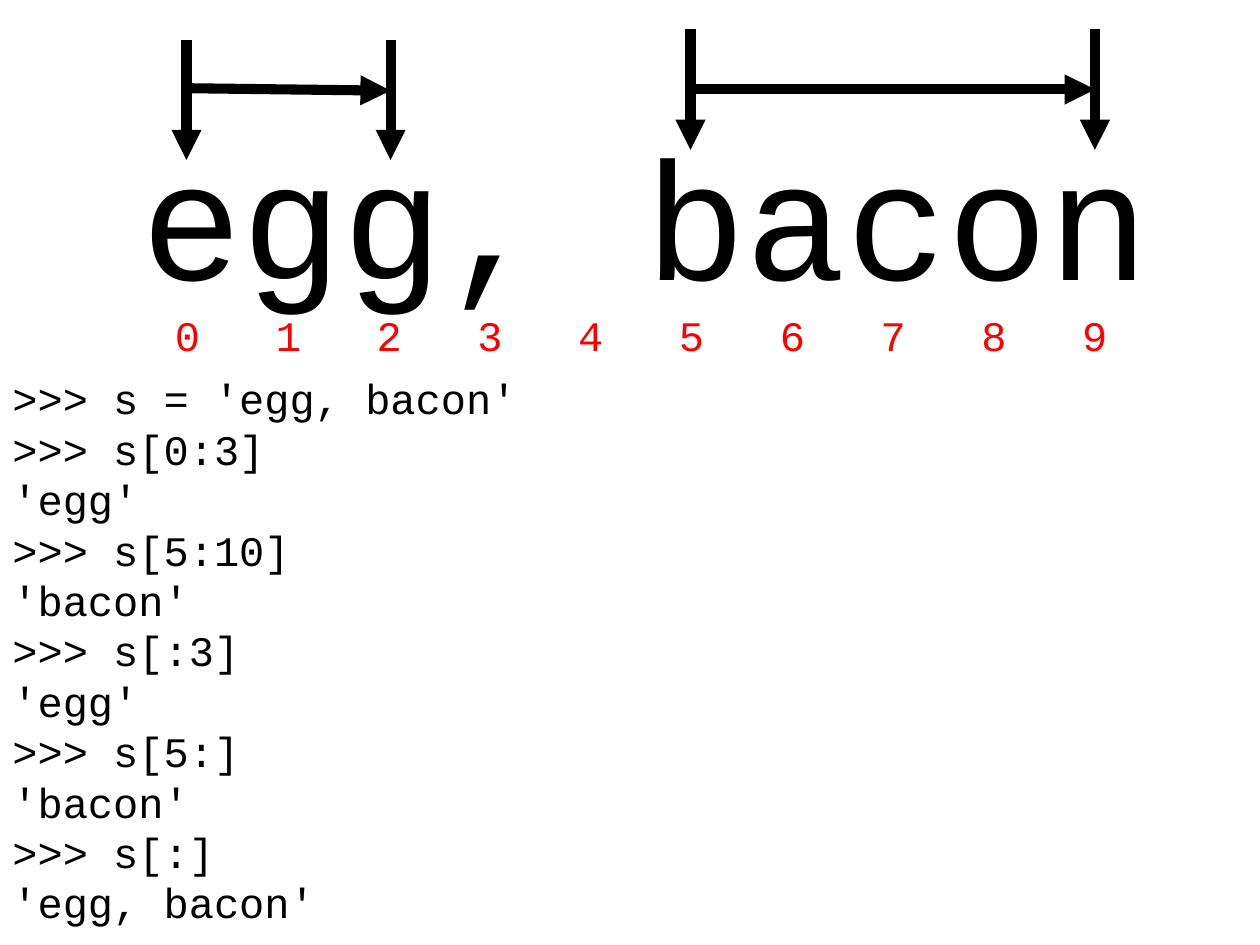
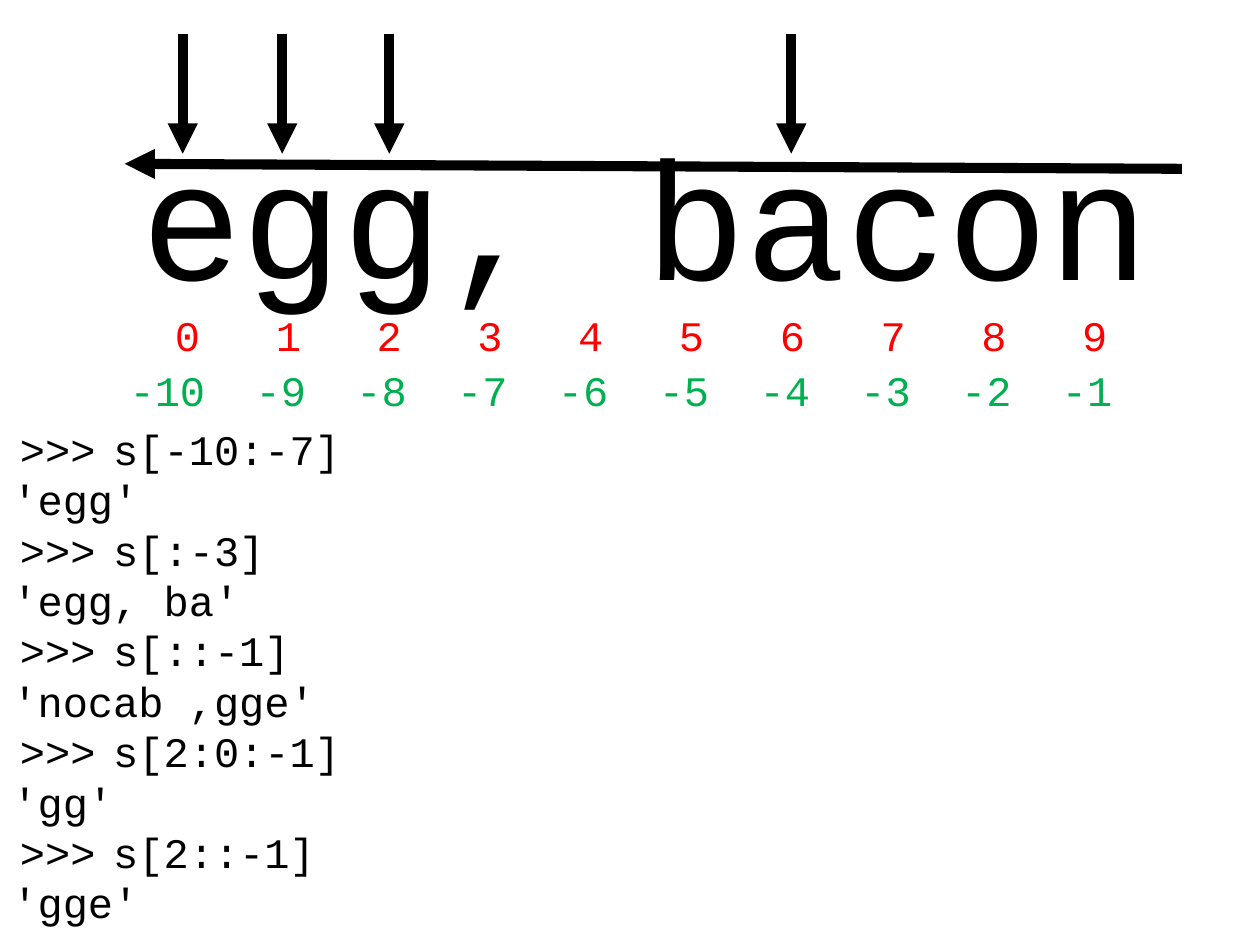
import pptx
import pptx.dml.color
import pptx.enum.shapes
import pptx.enum.text
import pptx.oxml.ns
import pptx.util
from dataclasses import dataclass
from lxml import etree

Inches = pptx.util.Inches
qn = pptx.oxml.ns.qn


@dataclass(frozen=True)
class Theme:
    font: str = "Courier New"
    ink: str = "000000"
    positive: str = "FF0000"
    negative: str = "00B050"
    word_size: int = 96
    code_size: int = 24
    arrow_width: float = 5.75


THEME = Theme()
WORD = "egg, bacon"
LETTER_PITCH = 0.8
LINE_HEIGHT = 0.4
BOX_PADDING = 0.1
PROMPT = ">>>"
CODE_INDENT = "    "  # columns covered by the prompt


# Text and line helpers
def add_run(paragraph, text, size, color):
    run = paragraph.add_run()
    run.text = text
    run.font.name = THEME.font
    run.font.size = pptx.util.Pt(size)
    run.font.color.rgb = pptx.dml.color.RGBColor.from_string(color)


def add_lines(slide, box, lines, color=THEME.ink):
    frame = slide.shapes.add_textbox(*map(Inches, box)).text_frame
    frame.word_wrap = True
    for number, line in enumerate(lines):
        paragraph = frame.add_paragraph() if number else frame.paragraphs[0]
        add_run(paragraph, line, THEME.code_size, color)
    return frame


def add_arrow(slide, start, end):
    arrow = slide.shapes.add_connector(
        pptx.enum.shapes.MSO_CONNECTOR.STRAIGHT, *map(Inches, (*start, *end)))
    arrow.line.color.rgb = pptx.dml.color.RGBColor.from_string(THEME.ink)
    arrow.line.width = pptx.util.Pt(THEME.arrow_width)
    etree.SubElement(arrow.line._get_or_add_ln(), qn("a:tailEnd"), type="triangle")
    etree.SubElement(arrow._element.spPr, qn("a:effectLst"))


# Regions
def add_word(slide, left, top, width, height):
    title = slide.shapes.title
    title.left, title.top, title.width, title.height = map(
        Inches, (left, top, width, height))
    frame = title.text_frame
    frame.word_wrap = True
    frame.auto_size = pptx.enum.text.MSO_AUTO_SIZE.NONE
    frame.vertical_anchor = pptx.enum.text.MSO_ANCHOR.TOP
    frame.paragraphs[0].alignment = pptx.enum.text.PP_ALIGN.LEFT
    add_run(frame.paragraphs[0], WORD, THEME.word_size, THEME.ink)


def add_indices(slide, box, indices, first_edge, color):
    """One index under each letter, right-aligned on evenly spaced tabs."""
    row = "".join(f"\t{index}" for index in indices)
    paragraph = add_lines(slide, box, [row], color).paragraphs[0]
    tabs = etree.SubElement(paragraph._p.get_or_add_pPr(), qn("a:tabLst"))
    for column in range(len(indices)):
        edge = Inches(first_edge + LETTER_PITCH * column)
        etree.SubElement(tabs, qn("a:tab"), pos=str(edge), algn="r")


def add_session(slide, left, top, width, lines, prompt_left):
    """Code and results, with a prompt in front of each code line."""
    height = len(lines) * LINE_HEIGHT + BOX_PADDING
    add_lines(slide, (left, top, width, height), lines)
    for number, line in enumerate(lines):
        if line.startswith(CODE_INDENT):
            prompt_top = top + number * LINE_HEIGHT
            add_lines(slide, (left + prompt_left, prompt_top, 0.87, 0.5), [PROMPT])


def add_pointers(slide, top, length, columns):
    for x in columns:
        add_arrow(slide, (x, top), (x, top + length))


def add_string_slide(deck):
    """The word with its positive indices, shared by both slides."""
    slide = deck.slides.add_slide(deck.slide_layouts[5])
    add_word(slide, 1.02, 0.84, 8.55, 1.72)
    add_indices(slide, (1.09, 2.41, 8.48, 0.5), range(len(WORD)), 0.4, THEME.positive)
    return slide


# Slides
def build_slices(deck):
    slide = add_string_slide(deck)
    add_session(slide, 0, 2.91, 9.34, [
        "    s = 'egg, bacon'",
        "    s[0:3]", "'egg'",
        "    s[5:10]", "'bacon'",
        "    s[:3]", "'egg'",
        "    s[5:]", "'bacon'",
        "    s[:]", "'egg, bacon'",
    ], prompt_left=0)
    # Slice bounds and the spans between them
    add_pointers(slide, 0.32, 0.95, (1.48, 3.1))
    add_pointers(slide, 0.23, 0.96, (5.48, 8.69))
    add_arrow(slide, (1.48, 0.7), (3.1, 0.72))
    add_arrow(slide, (5.48, 0.71), (8.69, 0.71))


def build_negative_slices(deck):
    slide = add_string_slide(deck)
    add_indices(slide, (0.91, 2.84, 8.55, 0.5), range(-len(WORD), 0), 0.62,
                THEME.negative)
    add_session(slide, 0, 3.31, 9.34, [
        "    s[-10:-7]", "'egg'",
        "    s[:-3]", "'egg, ba'",
        "    s[::-1]", "'nocab ,gge'",
        "    s[2:0:-1]", "'gg'",
        "    s[2::-1]", "'gge'",
    ], prompt_left=0.06)
    # Slice bounds and the backward step
    add_pointers(slide, 0.27, 0.95, (1.45, 2.24, 3.09, 6.28))
    add_arrow(slide, (9.38, 1.34), (0.99, 1.3))


def main():
    deck = pptx.Presentation()
    deck.slide_width, deck.slide_height = Inches(10), Inches(7.5)
    build_slices(deck)
    build_negative_slices(deck)
    deck.save("out.pptx")


if __name__ == "__main__":
    main()
